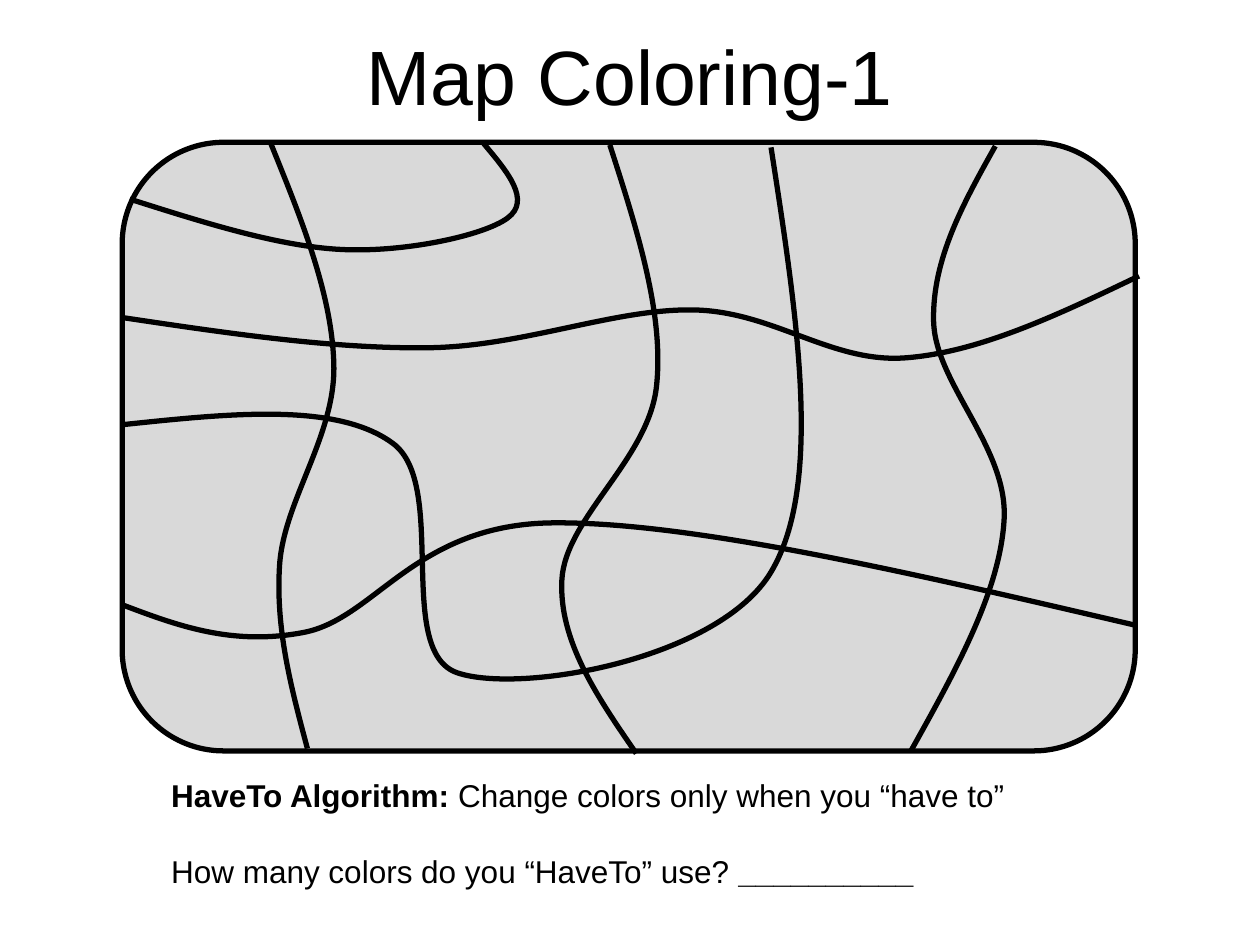
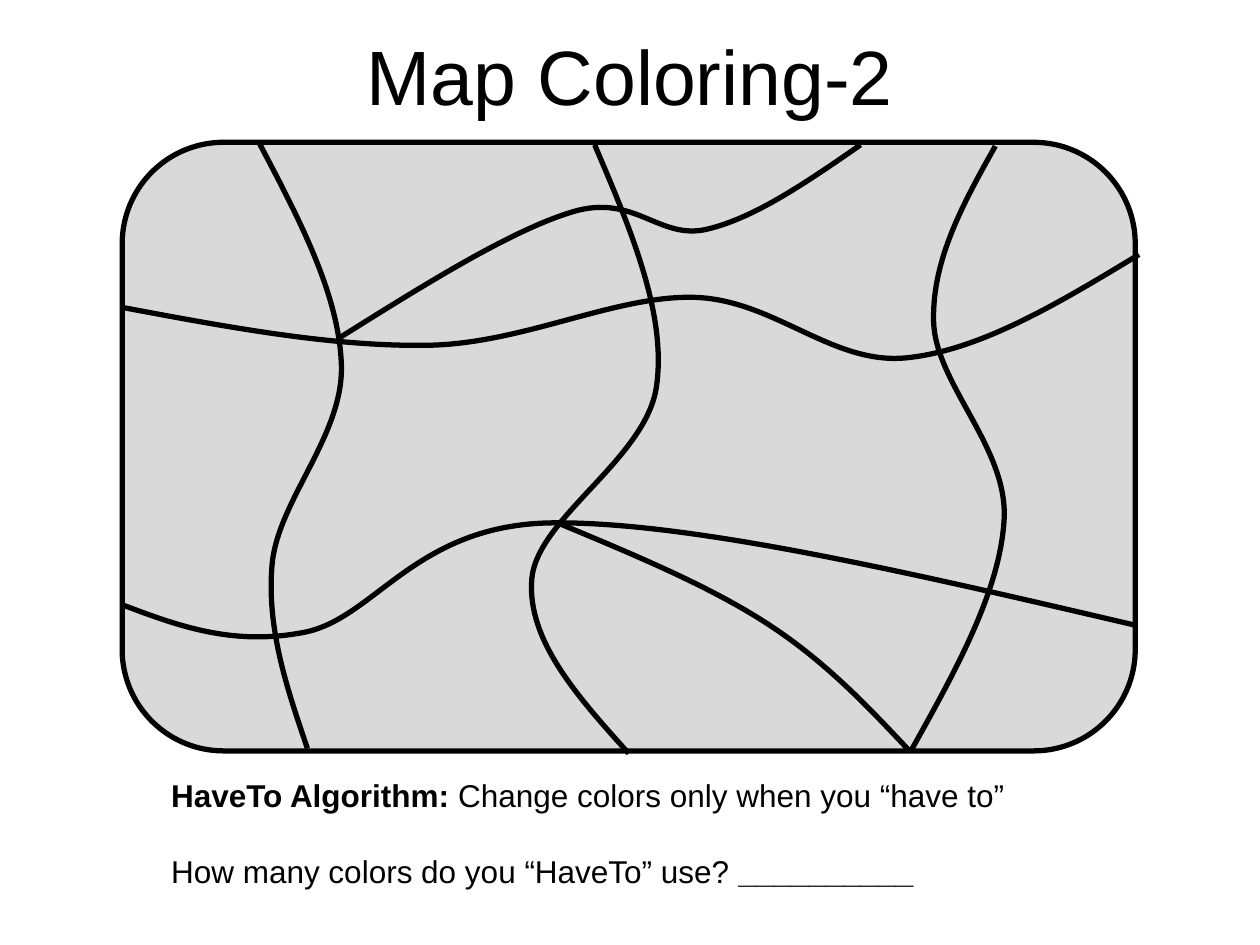
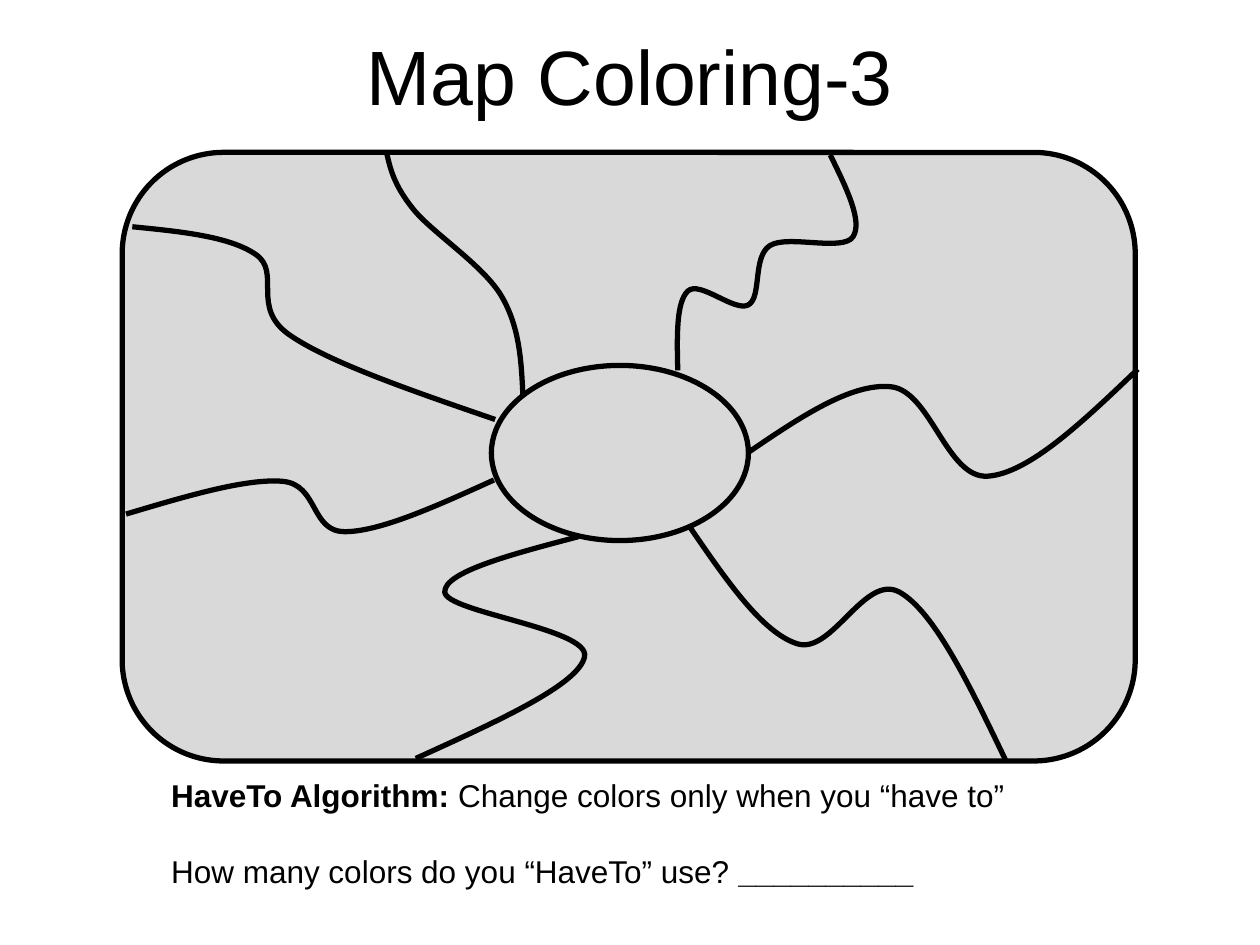
"""Build three map colouring worksheet slides."""
from dataclasses import dataclass
from typing import Any

from lxml.etree import SubElement
from pptx import Presentation
from pptx.dml.color import RGBColor
from pptx.enum.shapes import MSO_SHAPE as Preset
from pptx.enum.text import MSO_ANCHOR as Anchor, MSO_AUTO_SIZE as AutoSize, PP_ALIGN as Align
from pptx.oxml.ns import qn
from pptx.util import Inches, Pt

COLORS = {"ink": "000000", "land": "D9D9D9"}
FONT = "Arial"
TITLE_FONT = {"name": FONT, "size": Pt(44)}
PLAIN_FONT = {"name": FONT, "size": Pt(18), "bold": False}
BOLD_FONT = PLAIN_FONT | {"bold": True}
TITLE_FRAME = {"word_wrap": True, "vertical_anchor": Anchor.MIDDLE}
NOTE_FRAME = {"word_wrap": False, "auto_size": AutoSize.SHAPE_TO_FIT_TEXT}
BORDER_WIDTH = Pt(3)
MAP_LEFT, MAP_WIDTH, MAP_HEIGHT = 0.97, 8.04, 4.83

Point = tuple[float, float]
Box = tuple[float, float, float, float]
Border = tuple[Point, ...]
TITLE_BOX: Box = (0.5, 0.21, 9, 0.77)
NOTE_BOX: Box = (1.26, 6.11, 6.86, 1.01)


@dataclass(frozen=True)
class Worksheet:
    """One map with its top edge, its lakes and the points its borders pass."""
    title: str
    map_top: float
    borders: tuple[Border, ...]
    lakes: tuple[Box, ...] = ()


@dataclass(frozen=True)
class Span:
    """A stretch of text in one font."""
    text: str
    font: dict[str, Any]


NOTE = (
    (Span("HaveTo Algorithm: ", BOLD_FONT),
     Span("Change colors only when you “have to”", PLAIN_FONT)),
    (Span("How many colors do you “HaveTo” use? ", PLAIN_FONT),
     Span("__________", BOLD_FONT)),
)

EAST: Border = ((7.9, 1.16), (7.41, 2.55), (7.97, 4.12), (7.23, 5.96))
SOUTH: Border = ((0.97, 4.8), (2.41, 5.02), (4.39, 4.15), (9, 4.96))

WORKSHEETS = (
    Worksheet("Map Coloring-1", 1.13, (
        ((2.15, 1.14), (2.65, 2.9), (2.22, 4.48), (2.44, 5.94)),
        ((4.84, 1.15), (5.21, 3.07), (4.46, 4.6), (5.05, 5.98)),
        ((6.12, 1.17), (6.12, 4.54), (3.63, 5.34), (3.12, 3.52), (0.98, 3.37)),
        EAST,
        ((3.84, 1.14), (4.03, 1.73), (2.71, 1.98), (1.03, 1.58)),
        ((0.97, 2.52), (3.4, 2.76), (5.51, 2.46), (7.19, 2.84), (9.04, 2.19)),
        SOUTH)),
    Worksheet("Map Coloring-2", 1.13, (
        ((2.06, 1.14), (2.71, 2.9), (2.16, 4.48), (2.44, 5.94)),
        ((4.72, 1.15), (5.21, 3.07), (4.22, 4.6), (4.99, 5.98)),
        EAST,
        ((0.97, 2.44), (3.4, 2.74), (5.51, 2.36), (7.19, 2.84), (9.04, 2.02)),
        SOUTH,
        ((2.68, 2.69), (4.55, 1.68), (5.61, 1.82), (6.83, 1.15)),
        ((4.45, 4.16), (6.09, 4.95), (7.21, 5.95)))),
    Worksheet("Map Coloring-3", 1.21, (
        ((4.15, 3.14), (3.98, 2.35), (3.28, 1.66), (3.07, 1.22)),
        ((5.38, 2.94), (5.46, 2.31), (5.94, 2.42), (6.11, 1.95), (6.77, 1.88), (6.59, 1.23)),
        ((5.94, 3.59), (7.07, 3.07), (7.84, 3.78), (9.03, 2.93)),
        ((5.48, 4.19), (6.33, 5.11), (7.14, 4.7), (7.98, 6.03)),
        ((4.59, 4.26), (3.53, 4.7), (4.64, 5.21), (3.3, 6.02)),
        ((3.92, 3.81), (2.74, 4.22), (2.24, 3.82), (1, 4.08)),
        ((3.93, 3.33), (2.3, 2.66), (2.03, 2.02), (1.05, 1.8))),
        lakes=((3.9, 2.9, 2.04, 1.39),)),
)


def color(name: str) -> RGBColor:
    """Return a named colour."""
    return RGBColor.from_string(COLORS[name])


def apply(target: Any, values: dict[str, Any]) -> None:
    """Set each named attribute on the target."""
    for name, value in values.items():
        setattr(target, name, value)


def ink_outline(shape: Any) -> None:
    """Give a shape the map's border line and no shadow."""
    shape.shadow.inherit = False
    shape.line.color.rgb = color("ink")
    shape.line.width = BORDER_WIDTH


def draw_region(page: Any, preset: Preset, box: Box) -> None:
    """Draw a filled region of the map."""
    region = page.shapes.add_shape(preset, *map(Inches, box))
    region.fill.solid()
    region.fill.fore_color.rgb = color("land")
    ink_outline(region)


def smooth_axis(knots: list[float]) -> list[float]:
    """Put two handles between neighbouring knots, each a sixth of the span around its knot."""
    slopes = [(after - before) / 6 for before, after in zip(knots, knots[2:])]
    first = (knots[0] + knots[1] - slopes[0]) / 2
    last = (knots[-1] + knots[-2] + slopes[-1]) / 2
    leaving = [first] + [knot + slope for knot, slope in zip(knots[1:], slopes)]
    arriving = [knot - slope for knot, slope in zip(knots[1:], slopes)] + [last]
    values = knots[:1]
    for handles_and_end in zip(leaving, arriving, knots[1:]):
        values.extend(handles_and_end)
    return values


def draw_border(page: Any, border: Border) -> None:
    """Draw a border, turning each three line segments into one curve."""
    across, down = (smooth_axis(list(axis)) for axis in zip(*border))
    start, *rest = [(Inches(x), Inches(y)) for x, y in zip(across, down)]
    builder = page.shapes.build_freeform(*start)
    builder.add_line_segments(rest, close=False)
    shape = builder.convert_to_shape()
    shape.fill.background()
    ink_outline(shape)
    outline = next(shape.element.iter(qn("a:path")))
    segments = outline.findall(qn("a:lnTo"))
    for first in range(0, len(segments), 3):
        curve = SubElement(outline, qn("a:cubicBezTo"))
        for segment in segments[first:first + 3]:
            curve.append(segment[0])
            outline.remove(segment)


def draw_text(page: Any, box: Box, lines: tuple[tuple[Span, ...], ...],
              frame_format: dict[str, Any], para_format: dict[str, Any]) -> None:
    """Write lines of spans in a text box."""
    frame = page.shapes.add_textbox(*map(Inches, box)).text_frame
    apply(frame, frame_format)
    for index, line in enumerate(lines):
        para = frame.add_paragraph() if index else frame.paragraphs[0]
        apply(para, para_format)
        for span in line:
            run = para.add_run()
            run.text = span.text
            apply(run.font, span.font)
            run.font.color.rgb = color("ink")


def draw_worksheet(page: Any, sheet: Worksheet) -> None:
    """Draw the title, the map and the question."""
    draw_text(page, TITLE_BOX, ((Span(sheet.title, TITLE_FONT),),),
              TITLE_FRAME, {"alignment": Align.CENTER})
    draw_region(page, Preset.ROUNDED_RECTANGLE,
                (MAP_LEFT, sheet.map_top, MAP_WIDTH, MAP_HEIGHT))
    for lake in sheet.lakes:
        draw_region(page, Preset.OVAL, lake)
    for border in sheet.borders:
        draw_border(page, border)
    draw_text(page, NOTE_BOX, NOTE, NOTE_FRAME, {"space_after": Pt(22)})


def main() -> None:
    """Build and save the deck."""
    deck = Presentation()
    apply(deck, {"slide_width": Inches(10), "slide_height": Inches(7.5)})
    for sheet in WORKSHEETS:
        draw_worksheet(deck.slides.add_slide(deck.slide_layouts[6]), sheet)
    deck.save("out.pptx")


if __name__ == "__main__":
    main()
